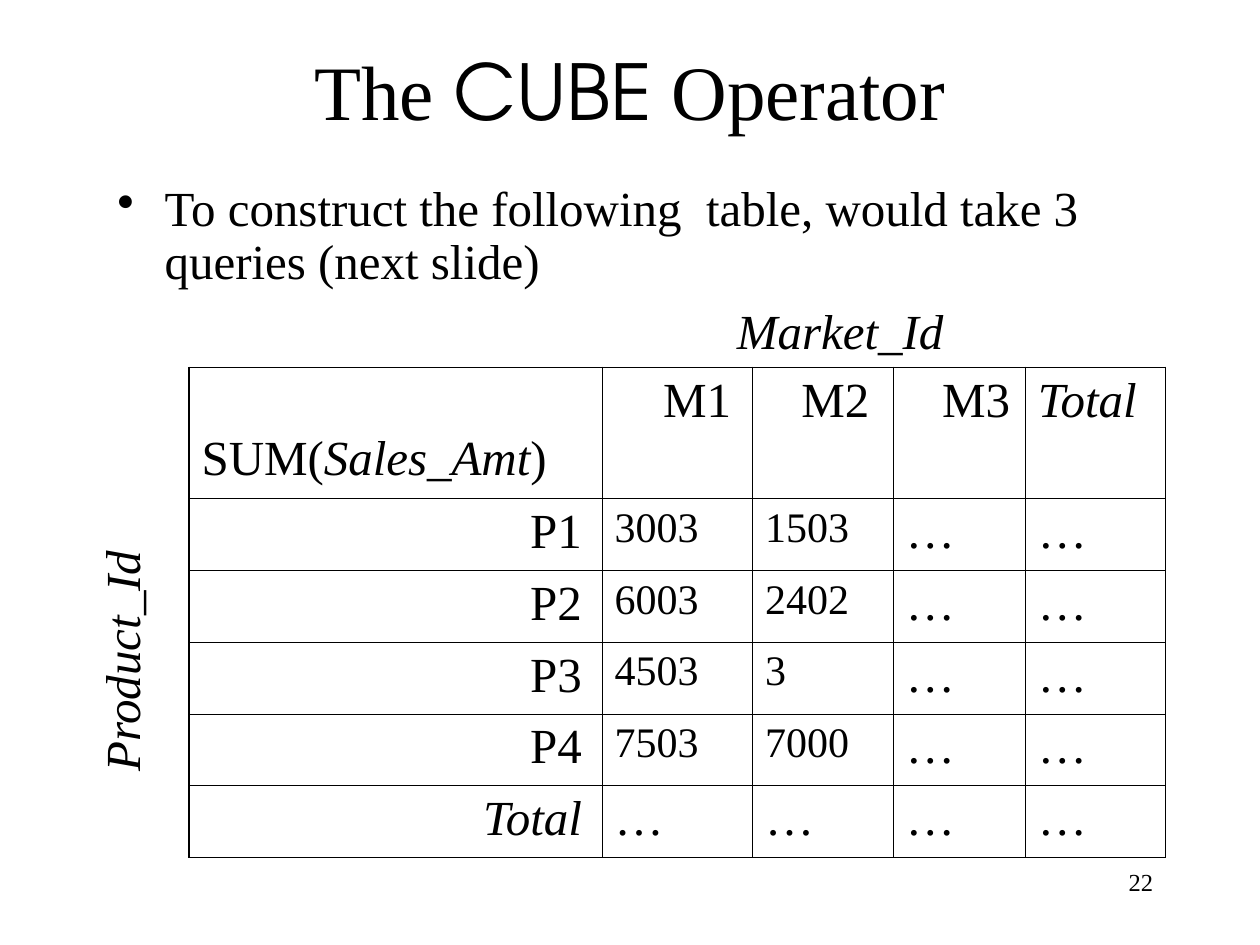
import pptx
import pptx.util
import pptx.dml.color
import pptx.enum.text
import pptx.oxml
import pptx.oxml.ns
from lxml import etree

Pt = pptx.util.Pt
ALIGN = pptx.enum.text.PP_ALIGN
ANCHOR = pptx.enum.text.MSO_ANCHOR
SERIF = "Times New Roman"
SANS = "TeX Gyre Adventor"
BLACK = "000000"
DOTS = "…"


def color(hex_value):
    return pptx.dml.color.RGBColor.from_string(hex_value)


def set_font(font, size, italic=None, name=SERIF):
    font.size = Pt(size)
    font.name = name
    font.italic = italic
    font.color.rgb = color(BLACK)


def add_text(slide, box, text, size, align=ALIGN.LEFT, italic=None, wrap=True):
    holder = slide.shapes.add_textbox(*map(Pt, box))
    holder.text_frame.word_wrap = wrap
    paragraph = holder.text_frame.paragraphs[0]
    paragraph.text = text
    paragraph.alignment = align
    set_font(paragraph.font, size, italic)
    return holder


def add_title(slide, box):
    title = add_text(slide, box, "", 44, ALIGN.CENTER)
    title.text_frame.vertical_anchor = ANCHOR.MIDDLE
    for text, name in [("The ", SERIF), ("CUBE", SANS), (" Operator", SERIF)]:
        run = title.text_frame.paragraphs[0].add_run()
        run.text = text
        run.font.name = name


def add_bullet(slide, box):
    body = add_text(
        slide, box,
        "To construct the following  table, would take 3 queries (next slide)", 28)
    paragraph = body.text_frame.paragraphs[0]
    paragraph.line_spacing = 0.9
    properties = paragraph._p.get_or_add_pPr()
    properties.set("marL", str(Pt(27)))
    properties.set("indent", str(-Pt(27)))
    bullet = etree.Element(pptx.oxml.ns.qn("a:buChar"), char="•")
    properties.find(pptx.oxml.ns.qn("a:defRPr")).addprevious(bullet)


def set_borders(cell, widths):
    properties = cell._tc.get_or_add_tcPr()
    for index, (side, width) in enumerate(zip("LRTB", widths)):
        line = pptx.oxml.parse_xml(
            f'<a:ln{side} {pptx.oxml.ns.nsdecls("a")} w="{Pt(width)}">'
            f'<a:solidFill><a:srgbClr val="{BLACK}"/></a:solidFill></a:ln{side}>')
        properties.insert(index, line)


def add_sales_table(slide, box):
    rows = [
        ["", "M1", "M2", "M3", "Total"],
        ["P1", "3003", "1503", DOTS, DOTS],
        ["P2", "6003", "2402", DOTS, DOTS],
        ["P3", "4503", "3", DOTS, DOTS],
        ["P4", "7503", "7000", DOTS, DOTS],
        ["Total", DOTS, DOTS, DOTS, DOTS],
    ]
    column_widths = [236, 86, 80.5, 75.5, 80]
    market_margins = {"M1": 35, "M2": 28, "M3": 28}
    last_row, last_column = len(rows) - 1, len(column_widths) - 1
    table = slide.shapes.add_table(
        len(rows), len(column_widths), *map(Pt, box)).table
    table.first_row = table.horz_banding = False
    for column, width in zip(table.columns, column_widths):
        column.width = Pt(width)
    for r, values in enumerate(rows):
        table.rows[r].height = Pt(41 if r else 75)
        for c, value in enumerate(values):
            cell = table.cell(r, c)
            cell.fill.background()
            edges = [c == 0, c == last_column, r == 0, r == last_row]
            set_borders(cell, [1.08 if edge else 0.45 for edge in edges])
            cell.margin_left = Pt(market_margins.get(value, 7.2))
            paragraph = cell.text_frame.paragraphs[0]
            paragraph.text = value
            set_font(paragraph.font, 24 if value.isdigit() else 28, value == "Total")
            if c == 0 and r:
                paragraph.alignment = ALIGN.RIGHT
                cell.margin_right = Pt(11.5)
    corner = table.cell(0, 0)
    corner.vertical_anchor = ANCHOR.BOTTOM
    corner.margin_bottom = Pt(7)
    for text, italic in [("SUM(", False), ("Sales_Amt", True), (")", False)]:
        run = corner.text_frame.paragraphs[0].add_run()
        run.text = text
        run.font.italic = italic


def add_axis_label(slide, box, text, rotation=0):
    label = add_text(slide, box, text, 28, italic=True, wrap=False)
    label.rotation = rotation


def main():
    deck = pptx.Presentation()
    deck.slide_width, deck.slide_height = Pt(720), Pt(540)
    slide = deck.slides.add_slide(deck.slide_layouts[6])
    add_text(slide, (516, 492, 150, 36), "22", 14, ALIGN.RIGHT)
    add_title(slide, (54, 24, 612, 54))
    add_bullet(slide, (60, 102, 606, 72))
    add_sales_table(slide, (108, 210, 558, 280))
    add_axis_label(slide, (414, 168, 132.5, 41), "Market_Id")
    add_axis_label(slide, (-2, 356.5, 142, 41), "Product_Id", 270)
    deck.save("out.pptx")


if __name__ == "__main__":
    main()
